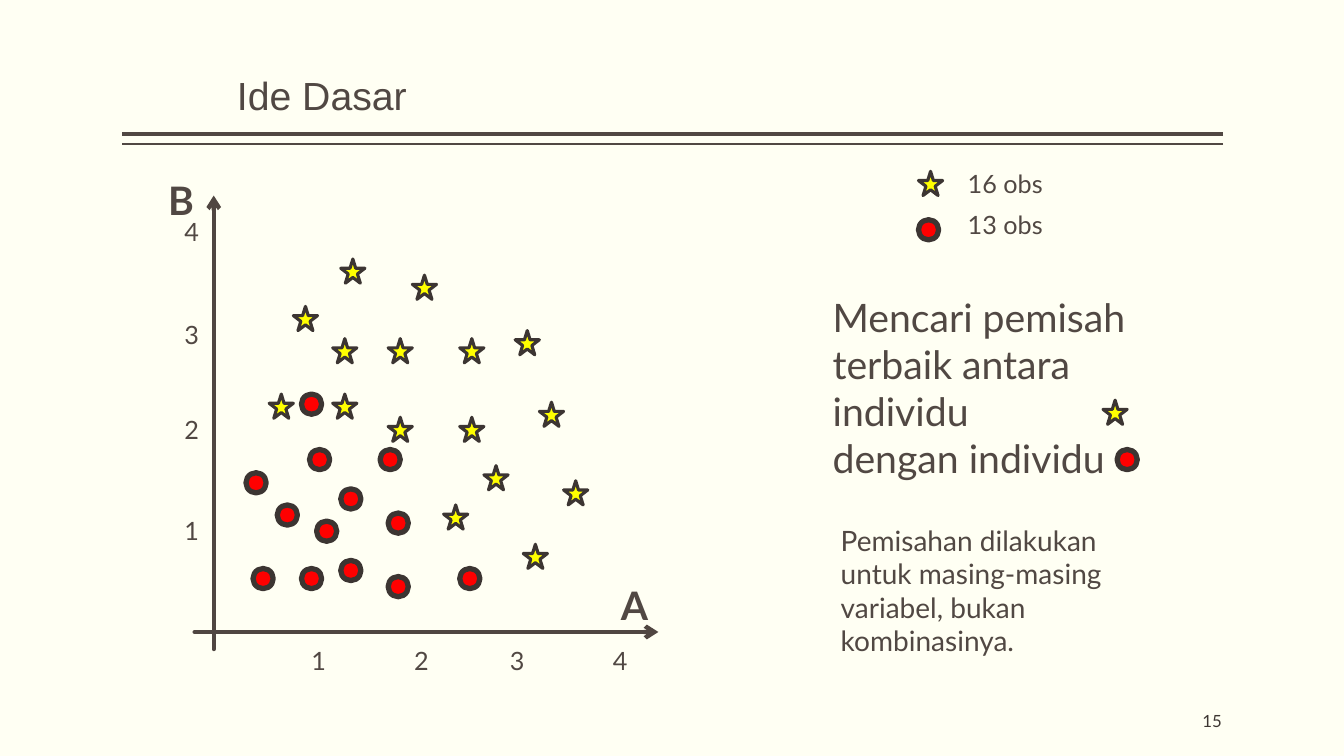
import pptx
import pptx.dml.color
import pptx.enum.shapes
import pptx.enum.text
import pptx.oxml
import pptx.oxml.ns
import pptx.util

PX = 9144  # EMU per px, 100 px to the inch
INK, EDGE, AXIS = "514843", "3C3532", "504641"
KIND = pptx.enum.shapes.MSO_SHAPE
ALIGN = pptx.enum.text.PP_ALIGN
ANCHOR = pptx.enum.text.MSO_ANCHOR
FIT = pptx.enum.text.MSO_AUTO_SIZE

# Marks: preset shape, side, fill, line width
MARKS = {
    "star": (KIND.STAR_5_POINT, 24, "FFFF00", 2.25),
    "dot": (KIND.FLOWCHART_CONNECTOR, 20, "FF0000", 3.78),
}


def tint(code):
    return pptx.dml.color.RGBColor.from_string(code)


def apply(target, values):
    for name, value in values.items():
        setattr(target, name, value)


class Deck:
    font = "Lato"

    def __init__(self, wide, high, back):
        self.file = pptx.Presentation()
        apply(self.file, {"slide_width": wide * PX, "slide_height": high * PX})
        self.slide = self.file.slides.add_slide(self.file.slide_layouts[6])
        self.pool = self.slide.shapes
        fill = self.slide.background.fill
        fill.solid()
        fill.fore_color.rgb = tint(back)

    def group(self):
        self.pool = self.slide.shapes.add_group_shape().shapes

    def text(self, words, left, top, wide, high, size=18, color=INK,
             frame=None, para=None, font=None):
        box = self.pool.add_textbox(left * PX, top * PX, wide * PX, high * PX)
        body = box.text_frame
        apply(body, {"word_wrap": True, "auto_size": FIT.SHAPE_TO_FIT_TEXT,
                     **(frame or {})})
        first = body.paragraphs[0]
        apply(first, para or {})
        for row, line in enumerate(words.splitlines()):
            if row:
                first.add_line_break()
            run = first.add_run()
            run.text = line
            apply(run.font, {"name": self.font, "size": pptx.util.Pt(size),
                             **(font or {})})
            run.font.color.rgb = tint(color)

    def mark(self, name, left, top):
        kind, side, fill, width = MARKS[name]
        shape = self.pool.add_shape(kind, left * PX, top * PX,
                                    side * PX, side * PX)
        shape.shadow.inherit = False
        shape.fill.solid()
        shape.fill.fore_color.rgb = tint(fill)
        shape.line.color.rgb = tint(EDGE)
        shape.line.width = pptx.util.Pt(width)

    def line(self, start, end, color, width, arrow=False):
        wire = self.pool.add_connector(
            pptx.enum.shapes.MSO_CONNECTOR.STRAIGHT,
            *(n * PX for n in start + end))
        wire.line.color.rgb = tint(color)
        wire.line.width = pptx.util.Pt(width)
        props = wire.element.spPr
        if arrow:
            stroke = props.find(pptx.oxml.ns.qn("a:ln"))
            stroke.set("cap", "rnd")
            stroke.append(pptx.oxml.parse_xml(
                f'<a:tailEnd {pptx.oxml.ns.nsdecls("a")} type="arrow"/>'))
        props.append(pptx.oxml.parse_xml(
            f'<a:effectLst {pptx.oxml.ns.nsdecls("a")}/>'))


STARS = [(338, 257), (291, 304), (385, 336), (409, 273), (511, 328),
         (385, 414), (456, 336), (480, 462), (456, 414), (535, 399),
         (440, 501), (559, 477), (330, 391), (267, 391), (330, 336),
         (519, 540)]
DOTS = [(307, 446), (377, 446), (338, 485), (275, 501), (338, 556),
        (385, 509), (314, 517), (456, 564), (385, 572), (299, 391),
        (244, 469), (299, 564), (251, 564)]


def main():
    deck = Deck(1333, 750, "FFFFF3")
    flush = {"margin_left": 0, "margin_right": 0, "auto_size": FIT.NONE}

    # Title and double rule
    for y, width in ((133, 3), (143, 1)):
        deck.line((1213, y), (121, y), INK, width)
    deck.text("Ide Dasar", 235, 40, 862, 83, 28,
              frame={**flush, "vertical_anchor": ANCHOR.BOTTOM},
              para={"line_spacing": 0.9}, font={"name": "Arial"})

    # Page number
    deck.text("15", 1012, 695, 200, 40, 12, "3D3632",
              frame={**flush, "vertical_anchor": ANCHOR.MIDDLE},
              para={"alignment": ALIGN.RIGHT})

    # Legend
    deck.mark("star", 911, 170)
    deck.mark("dot", 911, 218)
    deck.text("16 obs", 950, 162, 110, 40)
    deck.text("13 obs", 950, 203, 110, 40)

    # Main idea, with its two marks
    deck.text("Mencari pemisah terbaik antara individu\ndengan individu",
              816, 286, 315, 199, 28)
    deck.mark("star", 1094, 397)
    deck.mark("dot", 1108, 446)
    deck.text("Pemisahan dilakukan untuk masing-masing variabel, "
              "bukan kombinasinya.", 824, 514, 315, 145, 20)

    # Scatter plot: axes and ticks
    deck.group()
    deck.line((212, 644), (212, 194), AXIS, 3, arrow=True)
    deck.line((193, 627), (653, 627), AXIS, 3, arrow=True)
    ticks = zip((299, 401, 496, 598), (506, 406, 312, 210))
    for value, (x, y) in enumerate(ticks, 1):
        deck.text(str(value), 173, y, 24, 40)
        deck.text(str(value), x, 635, 24, 40)

    # Scatter plot: points and axis names
    for name, spots in (("star", STARS), ("dot", DOTS)):
        for x, y in spots:
            deck.mark(name, x, y)
    for name, x, y in (("B", 157, 170), ("A", 606, 572)):
        deck.text(name, x, y, 47, 57, 28, font={"bold": True})

    deck.file.save("out.pptx")


if __name__ == "__main__":
    main()
